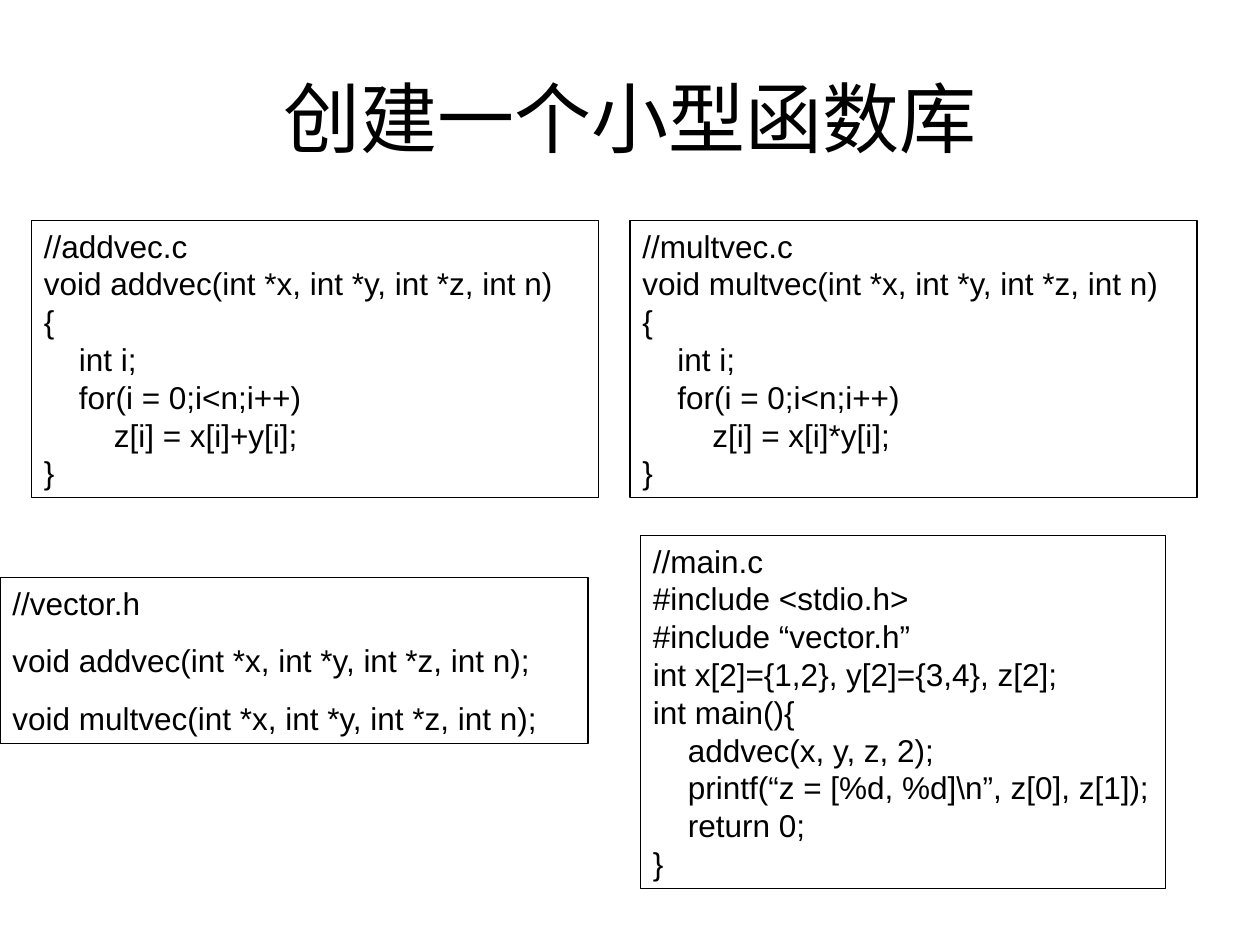
from dataclasses import dataclass

from pptx import Presentation
from pptx.dml.color import RGBColor
from pptx.enum.shapes import MSO_SHAPE as Preset
from pptx.enum.text import MSO_ANCHOR as Anchor, MSO_AUTO_SIZE as AutoSize, PP_ALIGN as Align
from pptx.util import Pt

FONT = "Arial"
BLACK = "000000"
INDENT = 20


@dataclass(frozen=True)
class CodeLine:
    text: str
    level: int = 0


@dataclass(frozen=True)
class Listing:
    left: float
    top: float
    width: float
    height: float
    lines: tuple[CodeLine, ...]
    space_before: float = 0


def color(value: str) -> RGBColor:
    return RGBColor.from_string(value)


def add_text(paragraph, text: str, size: float) -> None:
    run = paragraph.add_run()
    run.text = text
    run.font.name = FONT
    run.font.size = Pt(size)
    run.font.color.rgb = color(BLACK)


def vector_function(name: str, operator: str) -> tuple[CodeLine, ...]:
    return (
        CodeLine(f"//{name}.c"),
        CodeLine(f"void {name}(int *x, int *y, int *z, int n)"),
        CodeLine("{"),
        CodeLine("int i;", 1),
        CodeLine("for(i = 0;i<n;i++)", 1),
        CodeLine(f"z[i] = x[i]{operator}y[i];", 2),
        CodeLine("}"),
    )


def draw_title(slide, text: str) -> None:
    heading = slide.shapes.title
    heading.left, heading.top = Pt(36), Pt(21.6)
    heading.width, heading.height = Pt(648), Pt(90)
    frame = heading.text_frame
    frame.vertical_anchor = Anchor.MIDDLE
    frame.paragraphs[0].alignment = Align.CENTER
    add_text(frame.paragraphs[0], text, 44)


def draw_listing(slide, listing: Listing) -> None:
    box = slide.shapes.add_shape(
        Preset.RECTANGLE,
        Pt(listing.left), Pt(listing.top), Pt(listing.width), Pt(listing.height),
    )
    box.shadow.inherit = False
    box.fill.background()
    box.line.color.rgb = color(BLACK)
    box.line.width = Pt(0.75)
    frame = box.text_frame
    frame.word_wrap = True
    frame.auto_size = AutoSize.SHAPE_TO_FIT_TEXT
    frame.vertical_anchor = Anchor.TOP
    frame.margin_left = frame.margin_right = Pt(7.2)
    frame.margin_top = frame.margin_bottom = Pt(3.6)
    for index, line in enumerate(listing.lines):
        paragraph = frame.add_paragraph() if index else frame.paragraphs[0]
        paragraph.alignment = Align.LEFT
        paragraph.space_before = Pt(listing.space_before)
        if line.level:
            paragraph._p.get_or_add_pPr().set("marL", str(Pt(INDENT * line.level)))
        add_text(paragraph, line.text, 18)


HEADER = (
    CodeLine("//vector.h"),
    CodeLine("void addvec(int *x, int *y, int *z, int n);"),
    CodeLine("void multvec(int *x, int *y, int *z, int n);"),
)

MAIN_PROGRAM = (
    CodeLine("//main.c"),
    CodeLine("#include <stdio.h>"),
    CodeLine("#include “vector.h”"),
    CodeLine("int x[2]={1,2}, y[2]={3,4}, z[2];"),
    CodeLine("int main(){"),
    CodeLine("addvec(x, y, z, 2);", 1),
    CodeLine(r"printf(“z = [%d, %d]\n”, z[0], z[1]);", 1),
    CodeLine("return 0;", 1),
    CodeLine("}"),
)

LISTINGS = (
    Listing(18, 126, 324, 158.4, vector_function("addvec", "+")),
    Listing(360, 126, 324, 158.4, vector_function("multvec", "*")),
    Listing(0, 330, 336, 95, HEADER, space_before=11.2),
    Listing(366, 306, 300, 201.6, MAIN_PROGRAM),
)


def main() -> None:
    presentation = Presentation()
    presentation.slide_width, presentation.slide_height = Pt(720), Pt(540)
    slide = presentation.slides.add_slide(presentation.slide_layouts[5])
    draw_title(slide, "创建一个小型函数库")
    for listing in LISTINGS:
        draw_listing(slide, listing)
    presentation.save("out.pptx")


if __name__ == "__main__":
    main()
